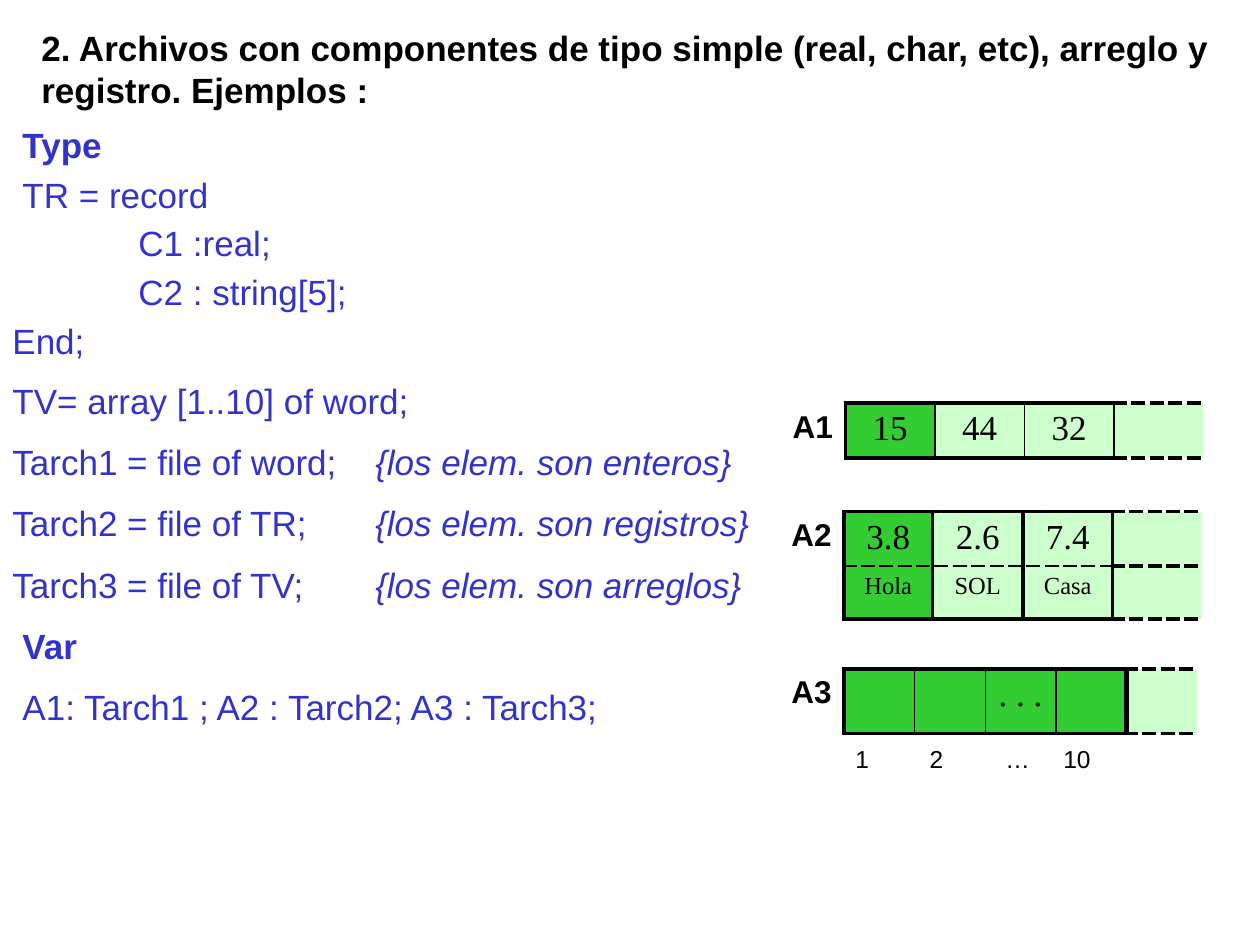
import collections

import pptx
import pptx.dml.color
import pptx.enum.text
import pptx.oxml
import pptx.oxml.ns
import pptx.util

Inches = pptx.util.Inches
Pt = pptx.util.Pt
RGBColor = pptx.dml.color.RGBColor
ALIGN = pptx.enum.text.PP_ALIGN

BLACK = RGBColor(0x00, 0x00, 0x00)
BLUE = RGBColor(0x33, 0x33, 0xCC)
GREEN = RGBColor(0x33, 0xCC, 0x33)
PALE = RGBColor(0xCC, 0xFF, 0xCC)

THICK, THIN = 2.25, 1
Box = collections.namedtuple("Box", "left top width height")


def write_span(para, text, size=20, font="Arial", color=BLACK, bold=False, italic=False):
    """Add a formatted run to a paragraph."""
    span = para.add_run()
    span.text = text
    span.font.size = Pt(size)
    span.font.name = font
    span.font.color.rgb = color
    span.font.bold = bold
    span.font.italic = italic


def set_tabs(para, stops):
    """Give a paragraph left tab stops, in inches."""
    tabs = pptx.oxml.parse_xml(f'<a:tabLst {pptx.oxml.ns.nsdecls("a")}/>')
    for stop in stops:
        tab = tabs.makeelement(pptx.oxml.ns.qn("a:tab"), {"pos": str(Inches(stop)), "algn": "l"})
        tabs.append(tab)
    para._p.get_or_add_pPr().append(tabs)


def add_frame(page, box):
    """Add a wrapping text box and return its text frame."""
    frame = page.shapes.add_textbox(*map(Inches, box)).text_frame
    frame.word_wrap = True
    frame.auto_size = pptx.enum.text.MSO_AUTO_SIZE.SHAPE_TO_FIT_TEXT
    return frame


def add_title(page, box, text):
    """Place the bold heading."""
    write_span(add_frame(page, box).paragraphs[0], text, bold=True)


def add_code(page, box, lines):
    """Place the declarations, each a (text, comment, format) line."""
    frame = add_frame(page, box)
    for index, (text, comment, style) in enumerate(lines):
        para = frame.paragraphs[0] if index == 0 else frame.add_paragraph()
        para.space_before = Pt(11)
        if "tight" in style:
            para.line_spacing = 0.7
        if "indent" in style:
            para._p.get_or_add_pPr().set("marL", str(Inches(0.08)))
            para._p.get_or_add_pPr().set("indent", "0")
        else:
            set_tabs(para, [1, 2.88])
        write_span(para, text, color=BLUE, bold="bold" in style)
        if comment:
            write_span(para, "\t" + comment, color=BLUE, italic=True)


def set_borders(cell, edges):
    """Draw the (width, dash) edges of a cell, leaving the others clear."""
    properties = cell._tc.get_or_add_tcPr()
    for index, side in enumerate("LRTB"):
        width, dash = edges.get(side, (0, "solid"))
        paint = '<a:solidFill><a:srgbClr val="000000"/></a:solidFill>' if width else "<a:noFill/>"
        line = pptx.oxml.parse_xml(
            f'<a:ln{side} {pptx.oxml.ns.nsdecls("a")} w="{Pt(width)}">'
            f'{paint}<a:prstDash val="{dash}"/></a:ln{side}>'
        )
        properties.insert(index, line)


def cell_edges(row, column, row_count, dividers):
    """Work out the edges of a cell from its place in the file."""
    edges = {}
    last = column == len(dividers)
    if column > 0:
        edges["L"] = (dividers[column - 1], "solid")
        for side, outer in (("T", row == 0), ("B", row == row_count - 1)):
            width = THICK if outer or last else THIN
            edges[side] = (width, "solid" if outer and not last else "sysDash")
    if not last:
        edges["R"] = (dividers[column], "solid")
    return edges


def add_file(page, box, label, widths, rows, dividers, dark=1):
    """Place a labelled file whose first dark components are highlighted."""
    shape = page.shapes.add_table(len(rows), len(widths), *map(Inches, box))
    table = shape.table
    table.first_row = table.horz_banding = False
    for column, width in zip(table.columns, widths):
        column.width = Inches(width)
    for row, values in enumerate(rows):
        table.rows[row].height = Inches(box.height / len(rows))
        for column in range(len(widths)):
            cell = table.cell(row, column)
            para = cell.text_frame.paragraphs[0]
            if column == 0:
                cell.fill.background()
                para.alignment = ALIGN.RIGHT
                if row == 0:
                    write_span(para, label, size=18, bold=True)
            else:
                cell.fill.solid()
                cell.fill.fore_color.rgb = GREEN if column <= dark else PALE
                para.alignment = ALIGN.CENTER
                if column <= len(values) and values[column - 1]:
                    size = 20 if row == 0 else 14
                    write_span(para, values[column - 1], size=size, font="Times New Roman")
            set_borders(cell, cell_edges(row, column, len(rows), dividers))


def add_indices(page, box, labels, stops):
    """Place the array indices at tab stops."""
    para = add_frame(page, box).paragraphs[0]
    set_tabs(para, stops)
    write_span(para, "".join("\t" + label for label in labels), size=14)


def main():
    """Build the slide and save it."""
    deck = pptx.Presentation()
    deck.slide_width, deck.slide_height = Inches(10), Inches(7.5)
    page = deck.slides.add_slide(deck.slide_layouts[6])
    add_code(page, Box(0, 0.93, 7.19, 5.08), [
        ("Type", "", "bold indent"),
        ("TR = record", "", "tight indent"),
        ("\tC1 :real;", "", "tight"),
        ("\tC2 : string[5];", "", "tight"),
        ("End;", "", "tight"),
        ("TV= array [1..10] of word;", "", ""),
        ("Tarch1 = file of word;", "{los elem. son enteros}", ""),
        ("Tarch2 = file of TR;", "{los elem. son registros}", ""),
        ("Tarch3 = file of TV;", "{los elem. son arreglos}", ""),
        ("Var", "", "bold indent"),
        ("A1: Tarch1 ; A2 : Tarch2; A3 : Tarch3;", "", "indent"),
    ])
    add_title(page, Box(0.23, 0.16, 9.77, 0.77),
              "2. Archivos con componentes de tipo simple (real, char, etc), "
              "arreglo y registro. Ejemplos :")
    add_file(page, Box(5.95, 3.2, 3.58, 0.43), "A1", [0.76] + [0.71] * 4,
             [["15", "44", "32"]], [THICK, THIN, THIN, THIN])
    add_file(page, Box(5.94, 4.06, 3.58, 0.84), "A2", [0.76, 0.7, 0.72, 0.71, 0.71],
             [["3.8", "2.6", "7.4"], ["Hola", "SOL", "Casa"]], [THICK] * 4)
    add_file(page, Box(6.09, 5.31, 3.43, 0.51), "A3", [0.61] + [0.56] * 5,
             [["", "", ". . ."]], [THICK, THIN, THIN, 1.5, 3], dark=4)
    add_indices(page, Box(6.64, 5.86, 2.58, 0.34), ["1", "2", "…", "10"],
                [0.05, 0.64, 1.24, 1.7])
    deck.save("out.pptx")


if __name__ == "__main__":
    main()
